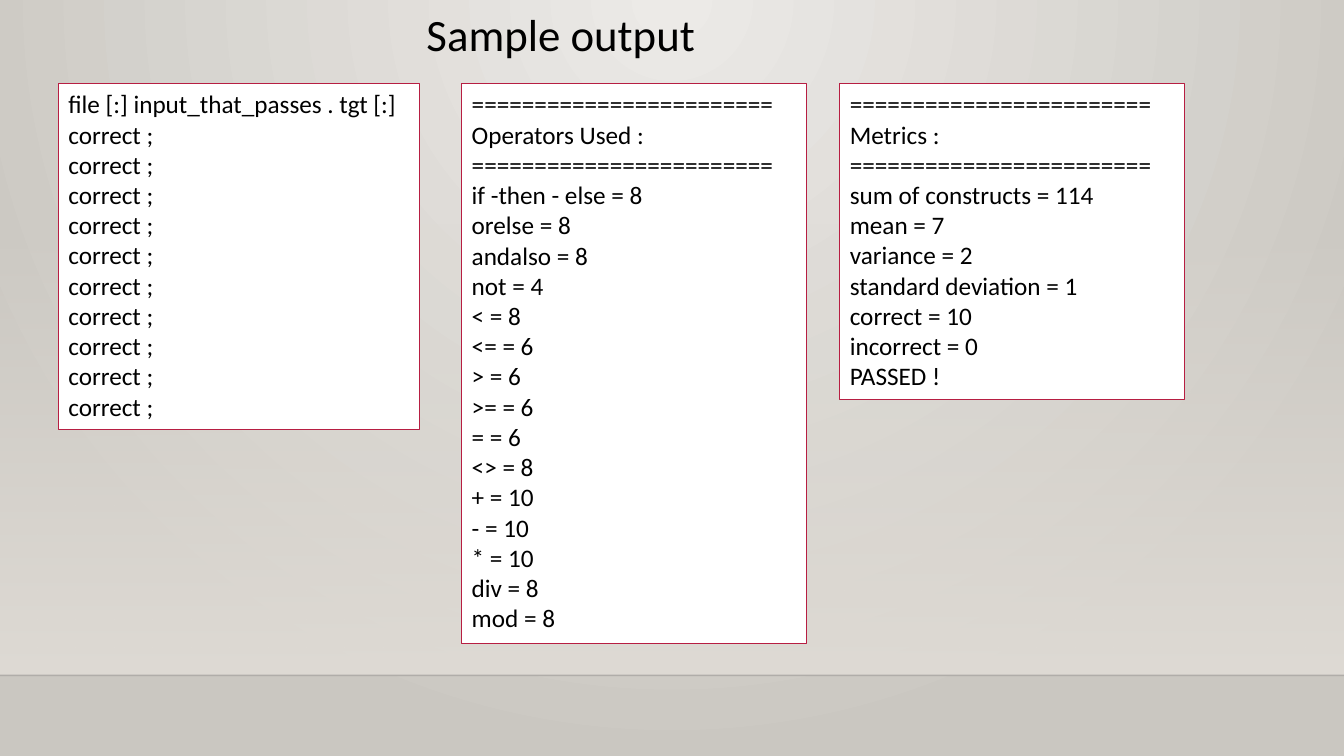
import pptx
import pptx.util
import pptx.oxml
import pptx.oxml.ns
from pptx.dml.color import RGBColor
from pptx.enum.shapes import MSO_CONNECTOR, MSO_SHAPE
from pptx.enum.text import MSO_ANCHOR, MSO_AUTO_SIZE, PP_ALIGN
from pptx.util import Inches, Pt

TITLE = "Sample output"
RULE = "=" * 24
OPERATORS = [
    ("if -then - else", 8), ("orelse", 8), ("andalso", 8), ("not", 4),
    ("<", 8), ("<=", 6), (">", 6), (">=", 6), ("=", 6), ("<>", 8),
    ("+", 10), ("-", 10), ("*", 10), ("div", 8), ("mod", 8),
]
METRICS = [
    ("sum of constructs", 114), ("mean", 7), ("variance", 2),
    ("standard deviation", 1), ("correct", 10), ("incorrect", 0),
]


def report(heading, values):
    return [RULE, heading, RULE] + [f"{name} = {value}" for name, value in values]


PANELS = [
    (0.58, 3.58, 3.43, ["file [:] input_that_passes . tgt [:]"] + ["correct ;"] * 10),
    (4.58, 3.42, 5.55, report("Operators Used :", OPERATORS)),
    (8.33, 3.42, 3.13, report("Metrics :", METRICS) + ["PASSED !"]),
]

FONT = "Calibri"
BLACK = RGBColor(0x00, 0x00, 0x00)
WHITE = RGBColor(0xFF, 0xFF, 0xFF)
CRIMSON = RGBColor(0xB7, 0x1E, 0x42)
SAND = RGBColor(0xDF, 0xDB, 0xD5)
EDGE = RGBColor(0x00, 0x00, 0x01)
GLOW = RGBColor(0xEC, 0xEA, 0xE7)
STONE = RGBColor(0xCA, 0xC7, 0xC1)

WIDTH, HEIGHT = 13.33, 7.5
PANEL_TOP = 0.83
WALL_TOP, FLOOR_TOP = 2.21, 6.7


def set_alpha(shape, percent):
    color = shape.element.find(".//" + pptx.oxml.ns.qn("a:srgbClr"))
    alpha = color.makeelement(pptx.oxml.ns.qn("a:alpha"), {"val": str(percent * 1000)})
    color.append(alpha)


def set_text(shape, lines, size):
    tf = shape.text_frame
    tf.text = "\n".join(lines)
    tf.vertical_anchor = MSO_ANCHOR.TOP
    tf.auto_size = MSO_AUTO_SIZE.NONE
    for p in tf.paragraphs:
        p.alignment = PP_ALIGN.LEFT
        for r in p.runs:
            r.font.name = FONT
            r.font.size = Pt(size)
            r.font.color.rgb = BLACK
    return tf


def add_background(s):
    bg = pptx.oxml.parse_xml(
        f'<p:bg {pptx.oxml.ns.nsdecls("p", "a")}><p:bgPr><a:gradFill rotWithShape="1"><a:gsLst>'
        f'<a:gs pos="0"><a:srgbClr val="{GLOW}"/></a:gs>'
        f'<a:gs pos="100000"><a:srgbClr val="{STONE}"/></a:gs></a:gsLst>'
        '<a:path path="circle"><a:fillToRect l="43000" r="43000" b="100000"/></a:path>'
        '</a:gradFill><a:effectLst/></p:bgPr></p:bg>')
    s.element.cSld.insert(0, bg)


def add_wall(s):
    wall = s.shapes.add_shape(MSO_SHAPE.RECTANGLE, 0, Inches(WALL_TOP),
                              Inches(WIDTH), Inches(FLOOR_TOP - WALL_TOP))
    wall.shadow.inherit = False
    wall.line.fill.background()
    wall.fill.gradient()
    wall.fill.gradient_angle = 270
    for position, stop in enumerate(wall.fill.gradient_stops):
        stop.position = position
        stop.color.rgb = SAND
    set_alpha(wall, 0)

    edge = s.shapes.add_connector(MSO_CONNECTOR.STRAIGHT, 0, Inches(FLOOR_TOP),
                                  Inches(WIDTH), Inches(FLOOR_TOP))
    edge.line.color.rgb = EDGE
    edge.line.width = Pt(1)
    set_alpha(edge, 20)
    sp_pr = edge.element.spPr
    sp_pr.append(sp_pr.makeelement(pptx.oxml.ns.qn("a:effectLst"), {}))


def add_panel(s, left, width, height, lines):
    panel = s.shapes.add_shape(MSO_SHAPE.RECTANGLE, Inches(left), Inches(PANEL_TOP),
                               Inches(width), Inches(height))
    panel.shadow.inherit = False
    panel.fill.solid()
    panel.fill.fore_color.rgb = WHITE
    panel.line.color.rgb = CRIMSON
    panel.line.width = Pt(0.75)
    set_text(panel, lines, 18).word_wrap = True


def main():
    prs = pptx.Presentation()
    prs.slide_width, prs.slide_height = Inches(WIDTH), Inches(HEIGHT)
    s = prs.slides.add_slide(prs.slide_layouts[5])
    add_background(s)
    add_wall(s)
    for panel in PANELS:
        add_panel(s, *panel)

    title = s.shapes.title
    title.left, title.top = Inches(4.13), Inches(0.02)
    title.width, title.height = Inches(2.9), Inches(0.64)
    set_text(title, [TITLE], 32).word_wrap = False
    prs.save("out.pptx")


if __name__ == "__main__":
    main()
